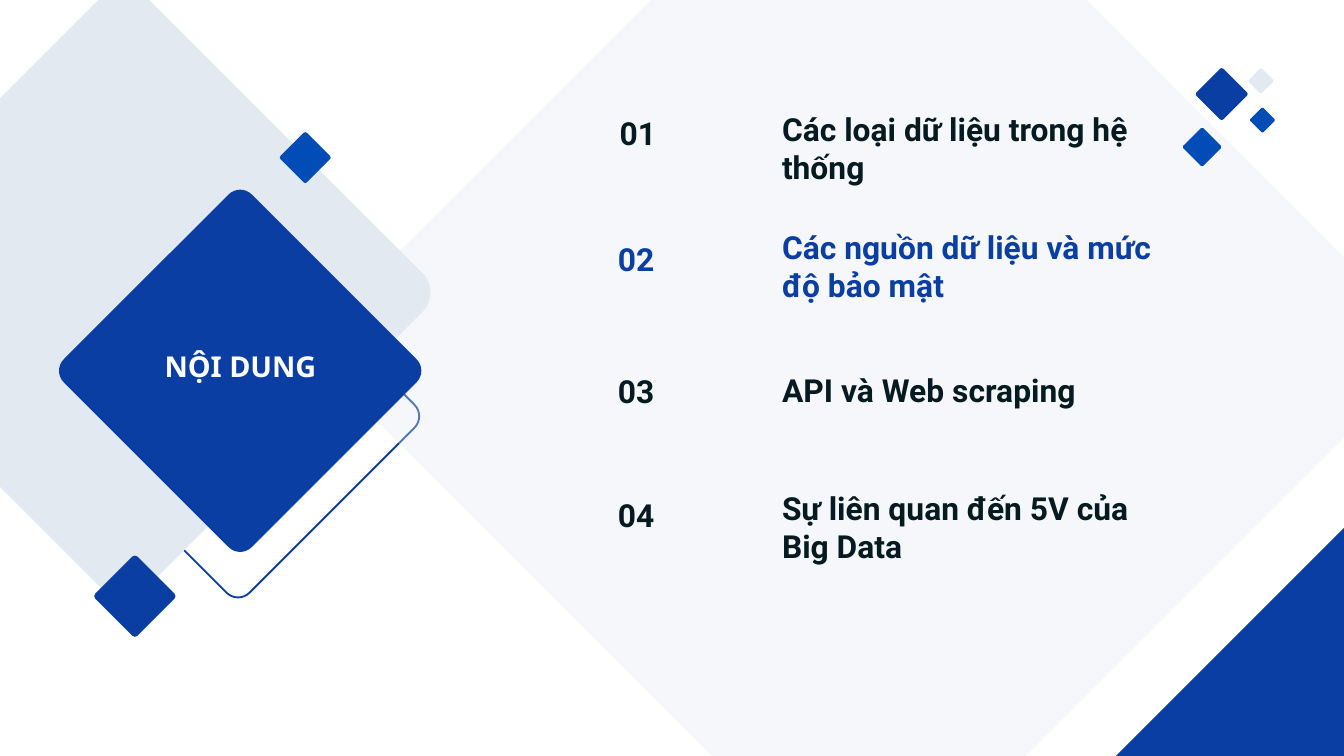
from dataclasses import dataclass
from math import cos, pi, sin
from typing import Optional

from lxml.etree import SubElement
from pptx import Presentation
from pptx.dml.color import RGBColor
from pptx.enum.text import MSO_ANCHOR, PP_ALIGN
from pptx.oxml.ns import qn
from pptx.util import Cm, Pt

COLOURS = {
    "navy": "0B3EA2",
    "blue": "014CB7",
    "mist": "E2E9F1",
    "ink": "061A21",
    "white": "FFFFFF",
}


@dataclass
class Diamond:
    x: float  # centre, cm
    y: float
    size: float
    fill: Optional[str] = None
    line: Optional[str] = None
    opacity: int = 100


@dataclass
class Label:
    text: str
    left: float
    top: float
    width: float
    height: float
    colour: str = "ink"
    font: str = "Roboto"
    size: float = 17
    insets: tuple = (0.25, 0.13, 0.25, 0.13)
    anchor: MSO_ANCHOR = MSO_ANCHOR.TOP
    align: PP_ALIGN = PP_ALIGN.LEFT
    spacing: float = 1.0


@dataclass
class Entry:
    number: str
    heading: str
    number_left: float
    number_top: float
    number_width: float
    heading_top: float
    heading_height: float
    colour: str = "ink"


def rgb(name: str) -> RGBColor:
    return RGBColor.from_string(COLOURS[name])


def round_corners(shape) -> None:
    """Turn the first three of every four segments into one Bézier curve."""
    segments = list(shape._element.iter(qn("a:lnTo")))
    for first in range(0, len(segments), 4):
        corner = segments[first:first + 3]
        curve = corner[0].makeelement(qn("a:cubicBezTo"))
        corner[0].addprevious(curve)
        for segment in corner:
            curve.append(segment[0])
            segment.getparent().remove(segment)


def draw_diamond(page, diamond: Diamond) -> None:
    """Draw a square standing on its tip, with rounded corners."""
    tip = diamond.size / 2
    bend = 0.018 * diamond.size
    side = 0.032 * diamond.size
    corner = [(tip - bend, -side), (tip, bend - side),
              (tip, side - bend), (tip - bend, side)]
    points = [
        (Cm(diamond.x + out * cos(angle) - across * sin(angle)),
         Cm(diamond.y + out * sin(angle) + across * cos(angle)))
        for angle in (0, pi / 2, pi, 3 * pi / 2)
        for out, across in corner
    ]
    builder = page.shapes.build_freeform(*points[0])
    builder.add_line_segments(points[1:], close=True)
    shape = builder.convert_to_shape()
    round_corners(shape)
    shape.shadow.inherit = False
    if diamond.fill:
        shape.fill.solid()
        shape.fill.fore_color.rgb = rgb(diamond.fill)
    else:
        shape.fill.background()
    if diamond.line:
        shape.line.color.rgb = rgb(diamond.line)
        shape.line.width = Pt(1)
    else:
        shape.line.fill.background()
    if diamond.opacity < 100:
        colour = shape._element.spPr.find(f"{qn('a:solidFill')}/{qn('a:srgbClr')}")
        SubElement(colour, qn("a:alpha"), val=str(diamond.opacity * 1000))


def draw_label(page, label: Label) -> None:
    box = page.shapes.add_textbox(
        Cm(label.left), Cm(label.top), Cm(label.width), Cm(label.height))
    frame = box.text_frame
    frame.word_wrap = True
    frame.vertical_anchor = label.anchor
    (frame.margin_left, frame.margin_top,
     frame.margin_right, frame.margin_bottom) = map(Cm, label.insets)
    para = frame.paragraphs[0]
    para.alignment = label.align
    para.line_spacing = label.spacing
    span = para.add_run()
    span.text = label.text
    span.font.name = label.font
    span.font.size = Pt(label.size)
    span.font.bold = True
    span.font.color.rgb = rgb(label.colour)


def draw_entry(page, entry: Entry) -> None:
    draw_label(page, Label(entry.number, entry.number_left, entry.number_top,
                           entry.number_width, 1.47, entry.colour,
                           anchor=MSO_ANCHOR.MIDDLE))
    draw_label(page, Label(entry.heading, 13.79, entry.heading_top, 8.26,
                           entry.heading_height, entry.colour,
                           insets=(0.99, 0, 0, 0)))


# Diamonds, from back to front
DIAMONDS = [
    Diamond(4.5, 7.87, 6.91, line="navy"),
    Diamond(16.42, 6.57, 20.8, "mist", opacity=34),
    Diamond(2.34, 5.53, 11.7, "mist"),
    Diamond(4.54, 7.01, 6.91, "navy"),
    # Top right cluster
    Diamond(23.09, 1.78, 0.99, "navy"),
    Diamond(22.72, 2.78, 0.74, "blue"),
    Diamond(23.86, 2.27, 0.48, "blue"),
    Diamond(23.83, 1.53, 0.48, "mist"),
    # Bottom right corner
    Diamond(25.87, 15.03, 10.74, "navy"),
    # Accents beside the title
    Diamond(5.77, 2.98, 0.97, "blue"),
    Diamond(2.55, 11.27, 1.55, "navy"),
]

TITLE = Label("NỘI DUNG", 2.78, 6.59, 3.53, 0.84, "white", "Noto Sans", 15.4,
              align=PP_ALIGN.CENTER, spacing=0.8)

ENTRIES = [
    Entry("01", "Các loại dữ liệu trong hệ thống",
          11.46, 1.78, 1.37, 2.08, 1.47),
    Entry("02", "Các nguồn dữ liệu và mức độ bảo mật",
          11.43, 4.15, 1.5, 4.3, 1.17, "navy"),
    Entry("03", "API và Web scraping",
          11.43, 6.65, 1.52, 7.01, 0.97),
    Entry("04", "Sự liên quan đến 5V của Big Data",
          11.43, 8.99, 1.52, 9.24, 0.97),
]


def main() -> None:
    deck = Presentation()
    deck.slide_width, deck.slide_height = Cm(25.4), Cm(14.29)
    page = deck.slides.add_slide(deck.slide_layouts[6])
    page.background.fill.solid()
    page.background.fill.fore_color.rgb = rgb("white")
    for diamond in DIAMONDS:
        draw_diamond(page, diamond)
    draw_label(page, TITLE)
    for entry in ENTRIES:
        draw_entry(page, entry)
    deck.save("out.pptx")


if __name__ == "__main__":
    main()
